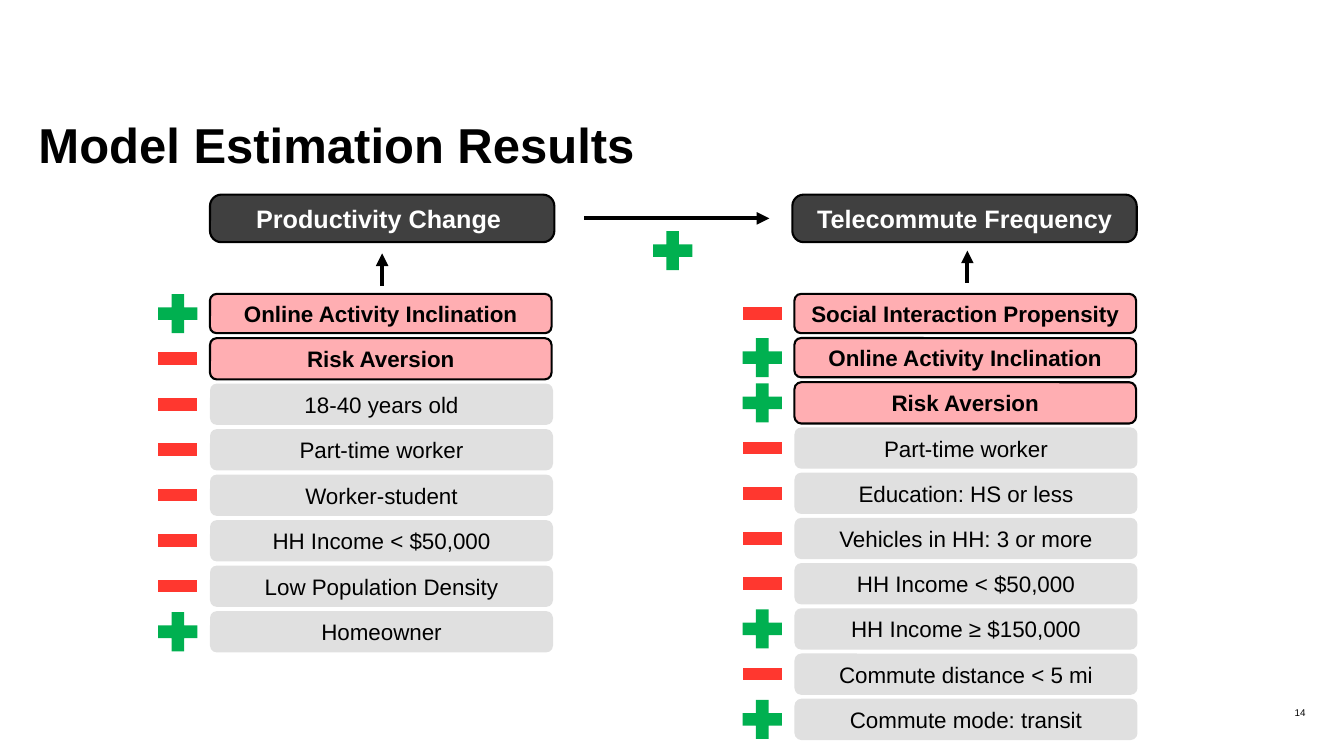
import pptx
import pptx.util
import pptx.dml.color
import pptx.enum.shapes
import pptx.enum.text
import pptx.oxml.ns
import lxml.etree
import dataclasses

Pt = pptx.util.Pt
Shape = pptx.enum.shapes.MSO_SHAPE
Align = pptx.enum.text.PP_ALIGN
Anchor = pptx.enum.text.MSO_ANCHOR


@dataclasses.dataclass(frozen=True)
class Theme:
    font: str = "Arial"
    ink: str = "000000"
    light: str = "FFFFFF"
    dark: str = "404040"
    pink: str = "FFAEB2"
    gray: str = "E0E0E0"
    green: str = "00B050"
    red: str = "FF372F"
    title: float = 35
    head: float = 18
    row: float = 16
    page: float = 7
    edge: float = 1.5
    arrow: float = 3
    sign: float = 38


class Deck:
    def __init__(self, theme, slide):
        self.theme = theme
        self.slide = slide

    def color(self, code):
        return pptx.dml.color.RGBColor.from_string(code)

    def fill_in(self, frame, text, size, color, bold, align):
        frame.word_wrap = True
        para = frame.paragraphs[0]
        para.text = text
        para.alignment = align
        font = para.font
        font.name = self.theme.font
        font.size = Pt(size)
        font.bold = bold
        font.color.rgb = self.color(color)
        return para

    def text(self, box, text, size, bold, align, anchor):
        frame = self.slide.shapes.add_textbox(*map(Pt, box)).text_frame
        frame.margin_left = frame.margin_right = 0
        frame.margin_top = frame.margin_bottom = 0
        frame.vertical_anchor = anchor
        return self.fill_in(frame, text, size, self.theme.ink, bold, align)

    def shape(self, kind, box, fill, edge=False):
        item = self.slide.shapes.add_shape(kind, *map(Pt, box))
        item.shadow.inherit = False
        item.fill.solid()
        item.fill.fore_color.rgb = self.color(fill)
        if edge:
            item.line.color.rgb = self.color(self.theme.ink)
            item.line.width = Pt(self.theme.edge)
        else:
            item.line.fill.background()
        return item

    def label(self, box, text, fill, size, color, bold):
        item = self.shape(Shape.ROUNDED_RECTANGLE, box, fill, bold)
        item.text_frame.vertical_anchor = Anchor.MIDDLE
        self.fill_in(item.text_frame, text, size, color, bold, Align.CENTER)
        return item

    def header(self, left, text):
        t = self.theme
        item = self.label((left, 139, 246, 34), text, t.dark, t.head, t.light, True)
        item.adjustments[0] = 0.24

    def sign(self, left, top, mark):
        t = self.theme
        plus = mark == "+"
        kind = Shape.MATH_PLUS if plus else Shape.MATH_MINUS
        self.shape(kind, (left, top, t.sign, t.sign), t.green if plus else t.red)

    def arrow(self, *ends):
        kind = pptx.enum.shapes.MSO_CONNECTOR.STRAIGHT
        item = self.slide.shapes.add_connector(kind, *map(Pt, ends))
        item.line.color.rgb = self.color(self.theme.ink)
        item.line.width = Pt(self.theme.arrow)
        qn = pptx.oxml.ns.qn
        props = item.element.spPr
        tip = lxml.etree.SubElement(props.find(qn("a:ln")), qn("a:tailEnd"))
        tip.set("type", "triangle")
        lxml.etree.SubElement(props, qn("a:effectLst"))

    def column(self, left, pitch, slim, strong, rows):
        t = self.theme
        top = 210
        for i, (mark, text) in enumerate(rows):
            high = 28 if i < slim else 29.5
            bold = i < strong
            box = (left, top, 244 if bold else 245, high)
            self.label(box, text, t.pink if bold else t.gray, t.row, t.ink, bold)
            self.sign(left - 42, top + (high - t.sign) / 2, mark)
            top += 31.5 if i < slim else pitch


def main():
    show = pptx.Presentation()
    show.slide_width = Pt(960)
    show.slide_height = Pt(540)
    theme = Theme()
    deck = Deck(theme, show.slides.add_slide(show.slide_layouts[6]))

    title = deck.text((27.5, 87, 906, 76), "Model Estimation Results",
                      theme.title, True, Align.LEFT, Anchor.TOP)
    title.line_spacing = 0.88
    deck.text((882, 504.5, 50.5, 9), "14", theme.page, False, Align.RIGHT, Anchor.BOTTOM)

    deck.header(150, "Productivity Change ")
    deck.header(566, "Telecommute Frequency")
    deck.arrow(417.5, 156, 549.5, 156)
    deck.sign(461.5, 160, "+")
    deck.arrow(273, 204, 273, 181)
    deck.arrow(691, 202, 691, 179)

    deck.column(150, 32.5, 1, 2, [
        ("+", "Online Activity Inclination"),
        ("-", "Risk Aversion"),
        ("-", "18-40 years old"),
        ("-", "Part-time worker"),
        ("-", "Worker-student"),
        ("-", "HH Income < $50,000"),
        ("-", "Low Population Density"),
        ("+", "Homeowner"),
    ])
    deck.column(567.5, 32.3, 2, 3, [
        ("-", "Social Interaction Propensity"),
        ("+", "Online Activity Inclination"),
        ("+", "Risk Aversion"),
        ("-", "Part-time worker"),
        ("-", "Education: HS or less"),
        ("-", "Vehicles in HH: 3 or more"),
        ("-", "HH Income < $50,000"),
        ("+", "HH Income ≥ $150,000"),
        ("-", "Commute distance < 5 mi"),
        ("+", "Commute mode: transit"),
    ])
    show.save("out.pptx")


if __name__ == "__main__":
    main()
